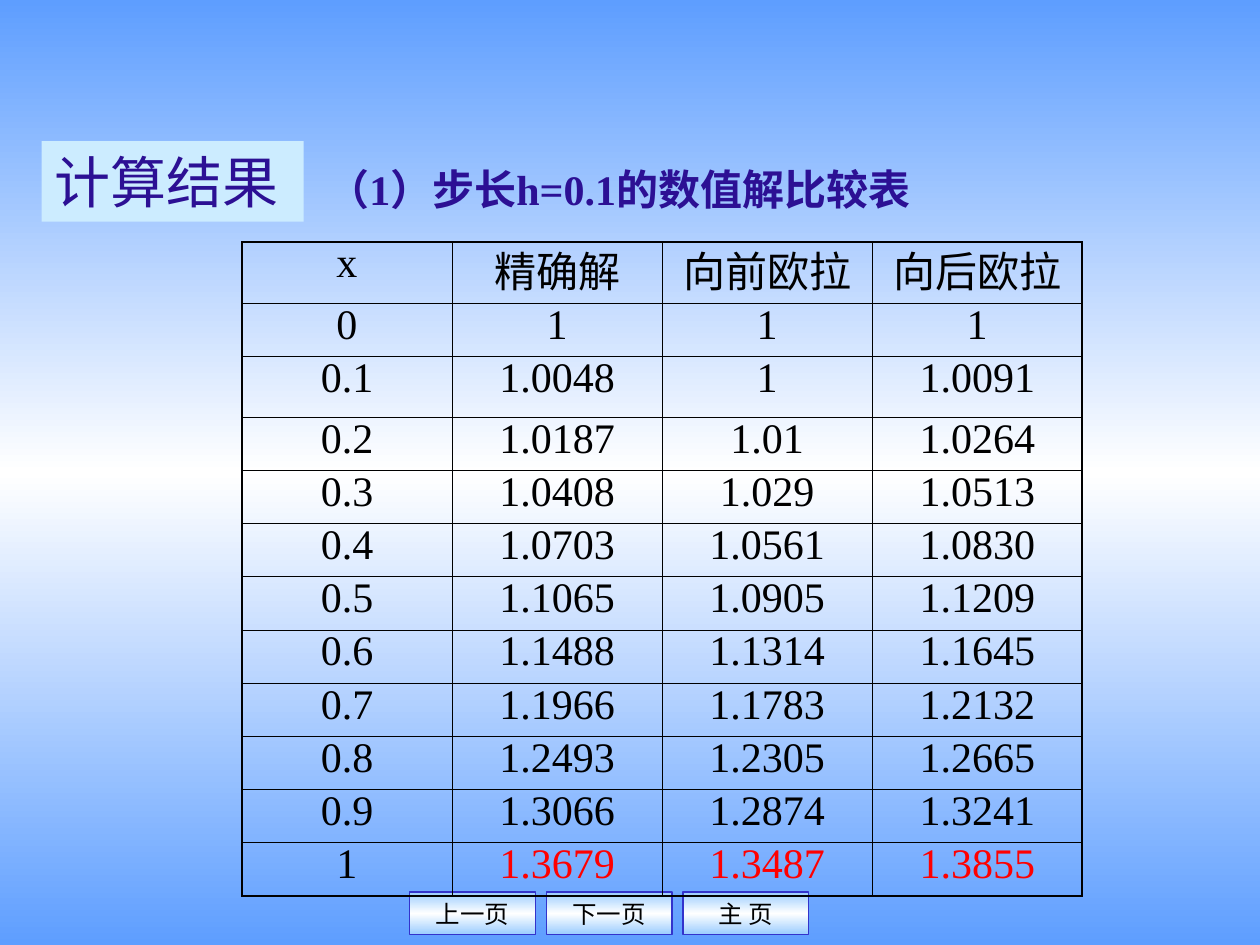
"""Build the slide comparing numerical solutions for step length h=0.1."""
from copy import deepcopy

from lxml import etree
from pptx import Presentation
from pptx import util as u
from pptx.dml.color import RGBColor
from pptx.enum import shapes, text
from pptx.oxml import ns

LABEL = "计算结果"
HEADING = "（1）步长h=0.1的数值解比较表"
BUTTONS = ["上一页", "下一页", "主 页"]
ROWS = [
    ("x", "精确解", "向前欧拉", "向后欧拉"),
    ("0", "1", "1", "1"),
    ("0.1", "1.0048", "1", "1.0091"),
    ("0.2", "1.0187", "1.01", "1.0264"),
    ("0.3", "1.0408", "1.029", "1.0513"),
    ("0.4", "1.0703", "1.0561", "1.0830"),
    ("0.5", "1.1065", "1.0905", "1.1209"),
    ("0.6", "1.1488", "1.1314", "1.1645"),
    ("0.7", "1.1966", "1.1783", "1.2132"),
    ("0.8", "1.2493", "1.2305", "1.2665"),
    ("0.9", "1.3066", "1.2874", "1.3241"),
    ("1", "1.3679", "1.3487", "1.3855"),
]
COLORS = {"sky": "5E9EFF", "white": "FFFFFF", "button": "99CCFF", "edge": "3333CC",
          "label": "CCECFF", "heading": "2C1094", "ink": "000000", "result": "FF0000"}
LATIN, CJK = "Times New Roman", "Noto Sans CJK SC"
TABLE = (1.92, 1.92, 6.67, 5.13)
TALL_ROW, TALL_HEIGHT = 2, 0.48
OUTER, INNER = 1.08, 0.45
BUTTON_LEFT, BUTTON_TOP, BUTTON_STEP = 3.25, 7.08, 1.085


def rgb(name):
    return RGBColor.from_string(COLORS[name])


def inches(*lengths):
    return [u.Inches(length) for length in lengths]


def write(frame, words, size, color, font=LATIN, bold=False, align=text.PP_ALIGN.LEFT):
    frame.word_wrap = True
    para = frame.paragraphs[0]
    para.text = words
    para.alignment = align
    para.font.name, para.font.size, para.font.bold = font, u.Pt(size), bold
    para.font.color.rgb = rgb(color)
    latin = para._p.find(".//" + ns.qn("a:latin"))
    east = etree.Element(ns.qn("a:ea"), typeface=CJK)
    latin.addnext(east)
    return para


def paint_bands(fill, owner, edge):
    fill.gradient()
    fill.gradient_angle = 270
    stops = owner.find(".//" + ns.qn("a:gsLst"))
    stops.append(deepcopy(stops[0]))
    for stop, position, color in zip(fill.gradient_stops, (0, 0.5, 1), (edge, "white", edge)):
        stop.position = position
        stop.color.rgb = rgb(color)


def draw_borders(cell, row, column):
    on_edge = {"L": column == 0, "R": column == len(ROWS[0]) - 1,
               "T": row == 0, "B": row == len(ROWS) - 1}
    properties = cell._tc.get_or_add_tcPr()
    for index, (side, outer) in enumerate(on_edge.items()):
        width = u.Pt(OUTER if outer else INNER)
        line = etree.Element(ns.qn("a:ln" + side), w=str(int(width)))
        solid = etree.SubElement(line, ns.qn("a:solidFill"))
        etree.SubElement(solid, ns.qn("a:srgbClr"), val=COLORS["ink"])
        properties.insert(index, line)


def add_buttons(page):
    for index, words in enumerate(BUTTONS):
        left = BUTTON_LEFT + index * BUTTON_STEP
        button = page.shapes.add_shape(shapes.MSO_SHAPE.RECTANGLE,
                                       *inches(left, BUTTON_TOP, 1, 0.34))
        button.shadow.inherit = False
        paint_bands(button.fill, button._element, "button")
        button.line.color.rgb = rgb("edge")
        button.line.width = u.Pt(0.75)
        button.text_frame.vertical_anchor = text.MSO_ANCHOR.MIDDLE
        write(button.text_frame, words, 14, "ink", CJK, align=text.PP_ALIGN.CENTER)


def add_results(page):
    table = page.shapes.add_table(len(ROWS), len(ROWS[0]), *inches(*TABLE)).table
    table.first_row = table.horz_banding = False
    plain_height = (TABLE[3] - TALL_HEIGHT) / (len(ROWS) - 1)
    for row, values in enumerate(ROWS):
        table.rows[row].height = u.Inches(TALL_HEIGHT if row == TALL_ROW else plain_height)
        for column, value in enumerate(values):
            cell = table.cell(row, column)
            cell.fill.background()
            draw_borders(cell, row, column)
            final = row == len(ROWS) - 1 and column > 0
            para = write(cell.text_frame, value, 24, "result" if final else "ink",
                         align=text.PP_ALIGN.CENTER)
            para.line_spacing = 0.8


def add_headings(page):
    box = page.shapes.add_textbox(*inches(2.5, 1.25, 5.58, 0.5))
    write(box.text_frame, HEADING, 24, "heading", bold=True)
    label = page.shapes.title
    label.left, label.top, label.width, label.height = inches(0.33, 1.12, 2.08, 0.64)
    label.fill.solid()
    label.fill.fore_color.rgb = rgb("label")
    label.text_frame.auto_size = text.MSO_AUTO_SIZE.NONE
    label.text_frame.vertical_anchor = text.MSO_ANCHOR.TOP
    write(label.text_frame, LABEL, 32, "heading")


def main():
    deck = Presentation()
    deck.slide_width, deck.slide_height = inches(10, 7.5)
    page = deck.slides.add_slide(deck.slide_layouts[5])
    paint_bands(page.background.fill, page._element, "sky")
    add_buttons(page)
    add_results(page)
    add_headings(page)
    deck.save("out.pptx")


if __name__ == "__main__":
    main()
